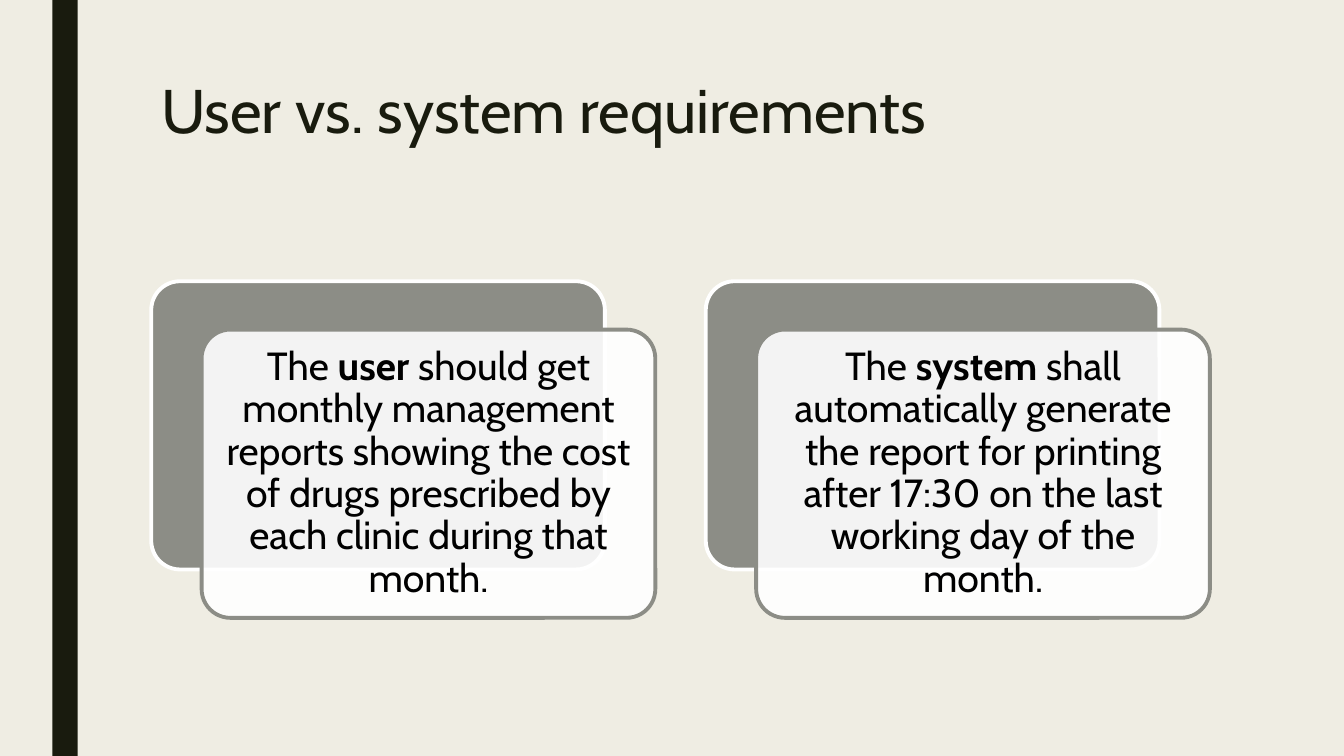
from lxml import etree
from pptx import Presentation
from pptx.dml.color import RGBColor
from pptx.enum.shapes import MSO_SHAPE
from pptx.enum.text import MSO_ANCHOR, PP_ALIGN
from pptx.oxml.ns import qn
from pptx.util import Inches, Pt

CREAM = RGBColor(0xEF, 0xED, 0xE3)
INK = RGBColor(0x19, 0x1B, 0x0E)
GREY = RGBColor(0x8C, 0x8D, 0x86)
WHITE = RGBColor(0xFF, 0xFF, 0xFF)
BLACK = RGBColor(0x00, 0x00, 0x00)

RECTANGLE = MSO_SHAPE.RECTANGLE
ROUNDED = MSO_SHAPE.ROUNDED_RECTANGLE
TOP, MIDDLE = MSO_ANCHOR.TOP, MSO_ANCHOR.MIDDLE
LEFT, CENTER = PP_ALIGN.LEFT, PP_ALIGN.CENTER

CARD_SIZE = (9, 5.72)
CARD_TOP = 5.58
CARD_SHIFT = (1, 0.96)
REQUIREMENTS = [
    (3, "The ", "user", " should get monthly management reports showing the cost "
     "of drugs prescribed by each clinic during that month."),
    (14, "The ", "system", " shall automatically generate the report for printing "
     "after 17:30 on the last working day of the month."),
]


def apply(target, values):
    for name, value in values.items():
        setattr(target, name, value)


class SlideBuilder:
    font = "Cabin"
    cell = 0.5

    def __init__(self, deck):
        self.page = deck.slides.add_slide(deck.slide_layouts[6])
        background = self.page.background.fill
        background.solid()
        background.fore_color.rgb = CREAM

    def place(self, *grid):
        return [Inches(value * self.cell) for value in grid]

    def panel(self, kind, grid, color, border=None, opacity=100):
        box = self.page.shapes.add_shape(kind, *self.place(*grid))
        box.shadow.inherit = False
        box.fill.solid()
        box.fill.fore_color.rgb = color
        if opacity < 100:
            swatch = box.element.spPr.find(qn("a:solidFill"))[0]
            etree.SubElement(swatch, qn("a:alpha"), val=str(opacity * 1000))
        if border is None:
            box.line.fill.background()
        else:
            box.line.color.rgb = border
            box.line.width = Pt(2.75)
        if kind == ROUNDED:
            box.adjustments[0] = 0.1
        return box

    def fill_text(self, box, spans, size, color, frame_format, para_format):
        frame = box.text_frame
        apply(frame, {"word_wrap": True, **frame_format})
        para = frame.paragraphs[0]
        apply(para, para_format)
        for text, bold in spans:
            span = para.add_run()
            span.text = text
            apply(span.font, {"name": self.font, "size": Pt(size), "bold": bold})
            span.font.color.rgb = color

    def title(self, text, grid):
        box = self.page.shapes.add_textbox(*self.place(*grid))
        self.fill_text(box, [(text, False)], 44, INK, {"vertical_anchor": TOP},
                       {"alignment": LEFT, "line_spacing": 0.89})

    def requirement(self, column, opening, keyword, ending):
        self.panel(ROUNDED, (column, CARD_TOP, *CARD_SIZE), GREY, WHITE)
        across, down = CARD_SHIFT
        card = self.panel(ROUNDED, (column + across, CARD_TOP + down, *CARD_SIZE),
                          WHITE, GREY, opacity=90)
        sides = ("left", "top", "right", "bottom")
        margins = {f"margin_{side}": Inches(0.12) for side in sides}
        self.fill_text(card, [(opening, False), (keyword, True), (ending, False)],
                       28, BLACK, {"vertical_anchor": MIDDLE, **margins},
                       {"alignment": CENTER, "line_spacing": 0.9})


def main():
    deck = Presentation()
    apply(deck, {"slide_width": Inches(13.33), "slide_height": Inches(7.5)})
    slide = SlideBuilder(deck)
    slide.panel(RECTANGLE, (1.04, 0, 0.5, 15), INK)
    slide.title("User vs. system requirements", (3, 1.5, 21, 3.24))
    for requirement in REQUIREMENTS:
        slide.requirement(*requirement)
    deck.save("out.pptx")


if __name__ == "__main__":
    main()
